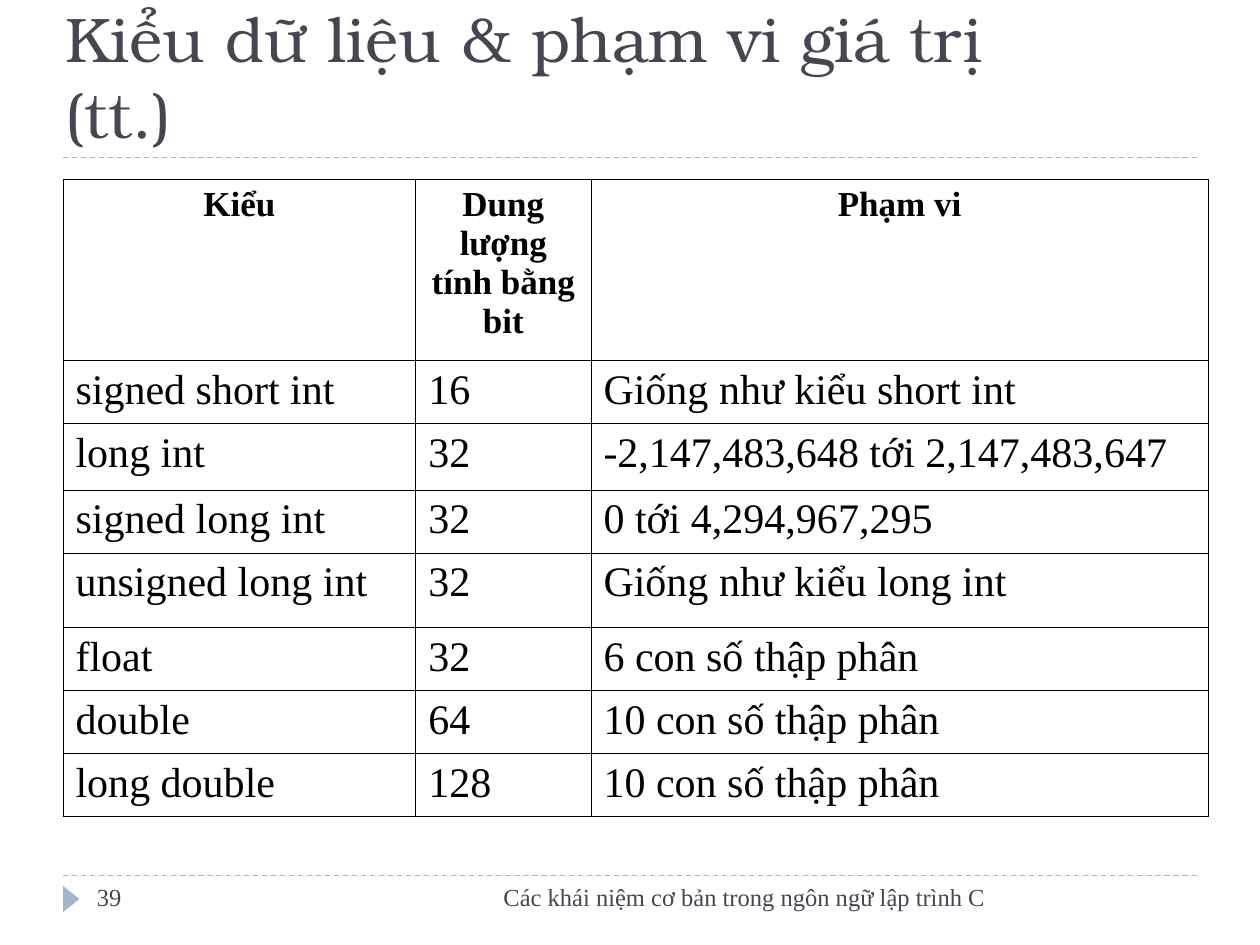
"""Build a slide listing C data types with their sizes and value ranges."""
from lxml import etree
from pptx import Presentation, util as u
from pptx.dml.color import RGBColor
from pptx.enum import dml, shapes, text
from pptx.oxml.ns import qn

SERIF = "Times New Roman"
INK, BLUE, BLACK, WHITE = "464653", "9FB8CD", "000000", "FFFFFF"
LEFT, CENTER, RIGHT, JUST = (text.PP_ALIGN.LEFT, text.PP_ALIGN.CENTER,
                             text.PP_ALIGN.RIGHT, text.PP_ALIGN.JUSTIFY)


def paint(form, tint):
    form.solid()
    form.fore_color.rgb = RGBColor.from_string(tint)


def write(frame, words, size=14, face=SERIF, tint=INK, bold=False, align=LEFT):
    frame.word_wrap = True
    frame.text = words
    for para in frame.paragraphs:
        para.alignment = align
        font = para.runs[0].font
        font.size, font.name, font.bold = u.Pt(size), face, bold
        paint(font.fill, tint)


deck = Presentation()
deck.slide_width, deck.slide_height = u.Inches(10), u.Inches(7.5)
slide = deck.slides.add_slide(deck.slide_layouts[5])
paint(slide.background.fill, WHITE)

edge, foot = u.Inches(0.5), u.Inches(6.95)
for y in (foot, u.Inches(1.25)):
    rule = slide.shapes.add_connector(
        shapes.MSO_CONNECTOR.STRAIGHT, edge, y, deck.slide_width - edge, y)
    paint(rule.line.fill, BLUE)
    rule.line.width = u.Pt(0.75)
    rule.line.dash_style = dml.MSO_LINE.DASH
    etree.SubElement(rule._element.spPr, qn("a:effectLst"))

mark = slide.shapes.add_shape(
    shapes.MSO_SHAPE.ISOSCELES_TRIANGLE,
    u.Inches(0.46), u.Inches(7.07), u.Inches(0.21), u.Inches(0.13))
mark.rotation = 90
mark.shadow.inherit = False
mark.line.fill.background()
paint(mark.fill, BLUE)

title = slide.shapes.title
title.left, title.top = u.Inches(0.42), u.Inches(0.33)
title.width, title.height = u.Inches(8.32), u.Inches(0.92)
write(title.text_frame, "Kiểu dữ liệu & phạm vi giá trị (tt.)", size=36,
      face="TeX Gyre Bonum")
title.text_frame.auto_size = text.MSO_AUTO_SIZE.NONE
title.text_frame.vertical_anchor = text.MSO_ANCHOR.BOTTOM

cols = [2.8, 1.39, 4.9]
rows = [
    (1.44, "Kiểu", "Dung lượng\ntính bằng bit", "Phạm vi"),
    (0.5, "signed short int", "16", "Giống như kiểu short int"),
    (0.53, "long int", "32", "-2,147,483,648 tới 2,147,483,647"),
    (0.5, "signed long int", "32", "0 tới 4,294,967,295"),
    (0.59, "unsigned long int", "32", "Giống như kiểu long int"),
    (0.5, "float", "32", "6 con số thập phân"),
    (0.5, "double", "64", "10 con số thập phân"),
    (0.5, "long double", "128", "10 con số thập phân"),
]
grid = slide.shapes.add_table(
    len(rows), len(cols), edge, u.Inches(1.42), u.Inches(sum(cols)),
    u.Inches(sum(row[0] for row in rows))).table
grid.horz_banding = False
for col, wide in zip(grid.columns, cols):
    col.width = u.Inches(wide)
for r, (tall, *words) in enumerate(rows):
    grid.rows[r].height = u.Inches(tall)
    for c, word in enumerate(words):
        cell = grid.cell(r, c)
        head = r == 0
        write(cell.text_frame, word, size=20 if head else 24, tint=BLACK,
              bold=head, align=CENTER if head else JUST)
        props = cell._tc.get_or_add_tcPr()
        for side in ("a:lnL", "a:lnR", "a:lnT", "a:lnB"):
            line = etree.SubElement(props, qn(side), w=str(u.Pt(0.45)))
            fill = etree.SubElement(line, qn("a:solidFill"))
            etree.SubElement(fill, qn("a:srgbClr"), val=BLACK)
        paint(cell.fill, WHITE)

for x, wide, words, align in (
        (3.17, 4.75, "Các khái niệm cơ bản trong ngôn ngữ lập trình C", RIGHT),
        (0.67, 2.17, "39", LEFT)):
    box = slide.shapes.add_textbox(
        u.Inches(x), foot, u.Inches(wide), u.Inches(0.4))
    write(box.text_frame, words, align=align)

deck.save("out.pptx")
